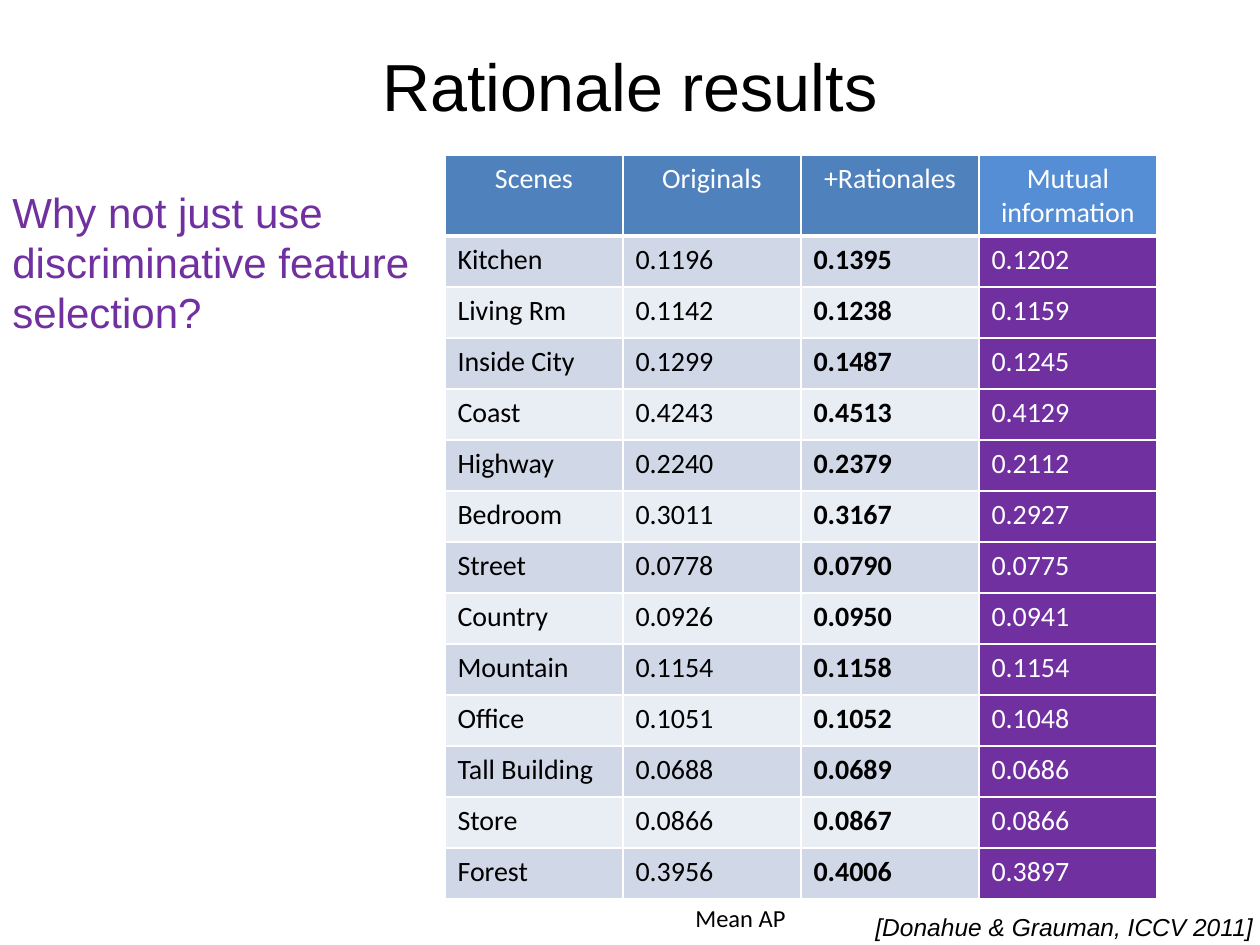
from lxml.etree import SubElement
from pptx import Presentation
from pptx.dml.color import RGBColor
from pptx.enum.text import MSO_ANCHOR, PP_ALIGN
from pptx.oxml.ns import qn
from pptx.util import Emu, Pt

PX = 914400 // 126
COLORS = {
    "black": "000000",
    "white": "FFFFFF",
    "purple": "7030A0",
    "header": "4F81BD",
    "header_new": "558ED5",
    "band_dark": "D0D8E8",
    "band_light": "E9EDF4",
}
HEADERS = ["Scenes", "Originals", "+Rationales", "Mutual information"]
RESULTS = [
    ("Kitchen", "0.1196", "0.1395", "0.1202"),
    ("Living Rm", "0.1142", "0.1238", "0.1159"),
    ("Inside City", "0.1299", "0.1487", "0.1245"),
    ("Coast", "0.4243", "0.4513", "0.4129"),
    ("Highway", "0.2240", "0.2379", "0.2112"),
    ("Bedroom", "0.3011", "0.3167", "0.2927"),
    ("Street", "0.0778", "0.0790", "0.0775"),
    ("Country", "0.0926", "0.0950", "0.0941"),
    ("Mountain", "0.1154", "0.1158", "0.1154"),
    ("Office", "0.1051", "0.1052", "0.1048"),
    ("Tall Building", "0.0688", "0.0689", "0.0686"),
    ("Store", "0.0866", "0.0867", "0.0866"),
    ("Forest", "0.3956", "0.4006", "0.3897"),
]
RATIONALES, MUTUAL = 2, 3
COL_W, HEADER_H, ROW_H = 178, 81, 51


def px(*values):
    return [Emu(v * PX) for v in values]


def rgb(name):
    return RGBColor.from_string(COLORS[name])


def style(p, size, font, color, bold=False, italic=False, align=PP_ALIGN.LEFT):
    p.alignment = align
    p.font.size = Pt(size)
    p.font.name = font
    p.font.bold = bold
    p.font.italic = italic
    p.font.color.rgb = rgb(color)


def add_title(s, text):
    title = s.shapes.title
    title.left, title.top, title.width, title.height = px(63, 6, 1134, 158)
    tf = title.text_frame
    tf.text = text
    tf.vertical_anchor = MSO_ANCHOR.MIDDLE
    style(tf.paragraphs[0], 38, "Arial", "black", align=PP_ALIGN.CENTER)


def add_text(s, box, text, size, font, color, italic=False):
    tf = s.shapes.add_textbox(*px(*box)).text_frame
    tf.word_wrap = True
    tf.margin_right = 0
    tf.text = text
    style(tf.paragraphs[0], size, font, color, italic=italic)


def add_borders(cell, widths):
    tc_pr = cell._tc.get_or_add_tcPr()
    for side, width in widths.items():
        ln = SubElement(tc_pr, qn(f"a:ln{side}"), w=str(Pt(width)))
        fill = SubElement(ln, qn("a:solidFill"))
        SubElement(fill, qn("a:srgbClr"), val=COLORS["white"])


def fill_cell(cell, text, fill, color, **kw):
    cell.text = text
    cell.fill.solid()
    cell.fill.fore_color.rgb = rgb(fill)
    style(cell.text_frame.paragraphs[0], 16, "Calibri", color, **kw)


def add_results_table(s):
    rows, cols = len(RESULTS) + 1, len(HEADERS)
    size = (cols * COL_W, HEADER_H + len(RESULTS) * ROW_H)
    table = s.shapes.add_table(rows, cols, *px(445, 155, *size)).table
    for col in table.columns:
        col.width = Emu(COL_W * PX)
    for i, row in enumerate(table.rows):
        row.height = Emu((ROW_H if i else HEADER_H) * PX)

    for j, text in enumerate(HEADERS):
        cell = table.cell(0, j)
        add_borders(cell, {"L": 1, "R": 1, "T": 1, "B": 3})
        fill = "header_new" if j == MUTUAL else "header"
        fill_cell(cell, text, fill, "white", align=PP_ALIGN.CENTER)

    for i, values in enumerate(RESULTS, 1):
        band = "band_dark" if i % 2 else "band_light"
        for j, text in enumerate(values):
            fill, color = ("purple", "white") if j == MUTUAL else (band, "black")
            fill_cell(table.cell(i, j), text, fill, color, bold=j == RATIONALES)


def main():
    prs = Presentation()
    prs.slide_width, prs.slide_height = px(1260, 945)
    s = prs.slides.add_slide(prs.slide_layouts[5])
    add_title(s, "Rationale results")
    add_results_table(s)
    add_text(s, (863, 906, 397, 39), "[Donahue & Grauman, ICCV 2011]",
             14, "Arial", "black", italic=True)
    add_text(s, (683, 897, 228, 43), "Mean AP", 14, "Calibri", "black")
    add_text(s, (0, 180, 422, 165),
             "Why not just use discriminative feature selection?",
             24, "Arial", "purple")
    prs.save("out.pptx")


if __name__ == "__main__":
    main()
